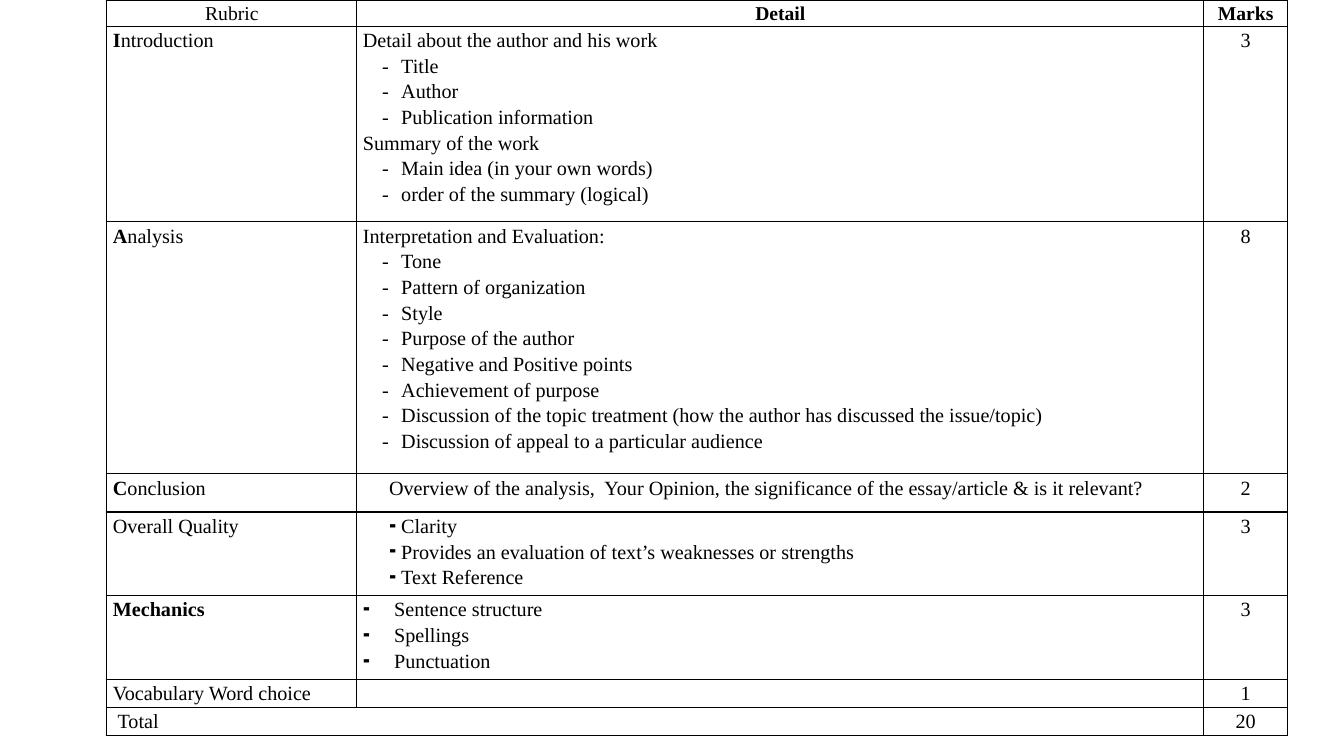
from lxml.etree import SubElement
from pptx import Presentation
from pptx.dml.color import RGBColor
from pptx.enum.text import MSO_ANCHOR, PP_ALIGN as ALIGN
from pptx.oxml.ns import qn
from pptx.util import Inches, Pt

BLACK = RGBColor(0, 0, 0)
COLUMNS = [2.48, 8.4, 0.83]
HEIGHTS = [0.26, 1.94, 2.5, 0.38, 0.83, 0.83, 0.28, 0.28]
PLAIN = dict(left=0, indent=0, bullet=None)
DASH = dict(left=0.38, indent=-0.19, bullet="-")
OVERVIEW = dict(left=0.26, indent=0, bullet=None)
QUALITY = dict(left=0.38, indent=-0.12, bullet="⁃")
MECHANICS = dict(left=0.31, indent=-0.31, bullet="⁃")

RUBRIC = [
    ("I", "ntroduction", [
        (PLAIN, ["Detail about the author and his work"]),
        (DASH, ["Title", "Author", "Publication information"]),
        (PLAIN, ["Summary of the work"]),
        (DASH, ["Main idea (in your own words)", "order of the summary (logical)"]),
    ], "3"),
    ("A", "nalysis", [
        (PLAIN, ["Interpretation and Evaluation:"]),
        (DASH, [
            "Tone", "Pattern of organization", "Style", "Purpose of the author",
            "Negative and Positive points", "Achievement of purpose",
            "Discussion of the topic treatment (how the author has discussed the issue/topic)",
            "Discussion of appeal to a particular audience",
        ]),
    ], "8"),
    ("C", "onclusion", [
        (OVERVIEW, ["Overview of the analysis,  Your Opinion, "
                    "the significance of the essay/article & is it relevant?"]),
    ], "2"),
    ("", "Overall Quality", [
        (QUALITY, ["Clarity", "Provides an evaluation of text’s weaknesses or strengths",
                   "Text Reference"]),
    ], "3"),
    ("Mechanics", "", [
        (MECHANICS, ["Sentence structure", "Spellings", "Punctuation"]),
    ], "3"),
    ("", "Vocabulary Word choice", [], "1"),
    ("", " Total", [], "20"),
]


def add_text(p, text, size=14.4, bold=False, align=ALIGN.LEFT):
    p.alignment = align
    p.line_spacing = 1.15
    r = p.add_run()
    r.text = text
    r.font.name = "Times New Roman"
    r.font.size = Pt(size)
    r.font.bold = bold
    r.font.color.rgb = BLACK


class RubricSlide:
    def __init__(self, prs):
        self.s = prs.slides.add_slide(prs.slide_layouts[6])

    def table(self, left, top, columns, heights):
        frame = self.s.shapes.add_table(
            len(heights), len(columns), Inches(left), Inches(top),
            Inches(sum(columns)), Inches(sum(heights)))
        table = frame.table
        table.first_row = table.horz_banding = False
        for column, width in zip(table.columns, columns):
            column.width = Inches(width)
        for row, height in zip(table.rows, heights):
            row.height = Inches(height)
        for cell in table.iter_cells():
            self.style_cell(cell)
        return table

    def style_cell(self, cell):
        cell.margin_left = cell.margin_right = Inches(0.06)
        cell.margin_top = cell.margin_bottom = 0
        cell.vertical_anchor = MSO_ANCHOR.TOP
        end = SubElement(cell.text_frame.paragraphs[0]._p, qn("a:endParaRPr"))
        end.set("sz", "1400")
        props = cell._tc.get_or_add_tcPr()
        for side in ("lnL", "lnR", "lnT", "lnB"):
            line = SubElement(props, qn(f"a:{side}"), w=str(Pt(1)))
            fill = SubElement(line, qn("a:solidFill"))
            SubElement(fill, qn("a:srgbClr"), val=str(BLACK))
        cell.fill.background()

    def label(self, cell, initial, rest):
        p = cell.text_frame.paragraphs[0]
        for text, bold in ((initial, True), (rest, False)):
            if text:
                add_text(p, text, bold=bold)

    def details(self, cell, groups):
        tf = cell.text_frame
        lines = [(style, text) for style, texts in groups for text in texts]
        for i, (style, text) in enumerate(lines):
            p = tf.add_paragraph() if i else tf.paragraphs[0]
            add_text(p, text)
            self.indent(p, **style)

    def indent(self, p, left, indent, bullet):
        props = p._p.get_or_add_pPr()
        props.set("marL", str(Inches(left)))
        props.set("indent", str(Inches(indent)))
        if bullet:
            SubElement(props, qn("a:buFont"), typeface="Times New Roman")
            SubElement(props, qn("a:buChar"), char=bullet)

    def centred(self, cell, text, **style):
        add_text(cell.text_frame.paragraphs[0], text, align=ALIGN.CENTER, **style)


def main():
    prs = Presentation()
    prs.slide_width, prs.slide_height = Inches(13.33), Inches(7.5)
    slide = RubricSlide(prs)
    table = slide.table(1.06, 0, COLUMNS, HEIGHTS)
    for i, heading in enumerate(("Rubric", "Detail", "Marks")):
        slide.centred(table.cell(0, i), heading, size=14, bold=i > 0)
    for row, (initial, rest, groups, marks) in enumerate(RUBRIC, 1):
        slide.label(table.cell(row, 0), initial, rest)
        slide.details(table.cell(row, 1), groups)
        slide.centred(table.cell(row, 2), marks)
    total = len(RUBRIC)
    table.cell(total, 0).merge(table.cell(total, 1))
    prs.save("out.pptx")


if __name__ == "__main__":
    main()
